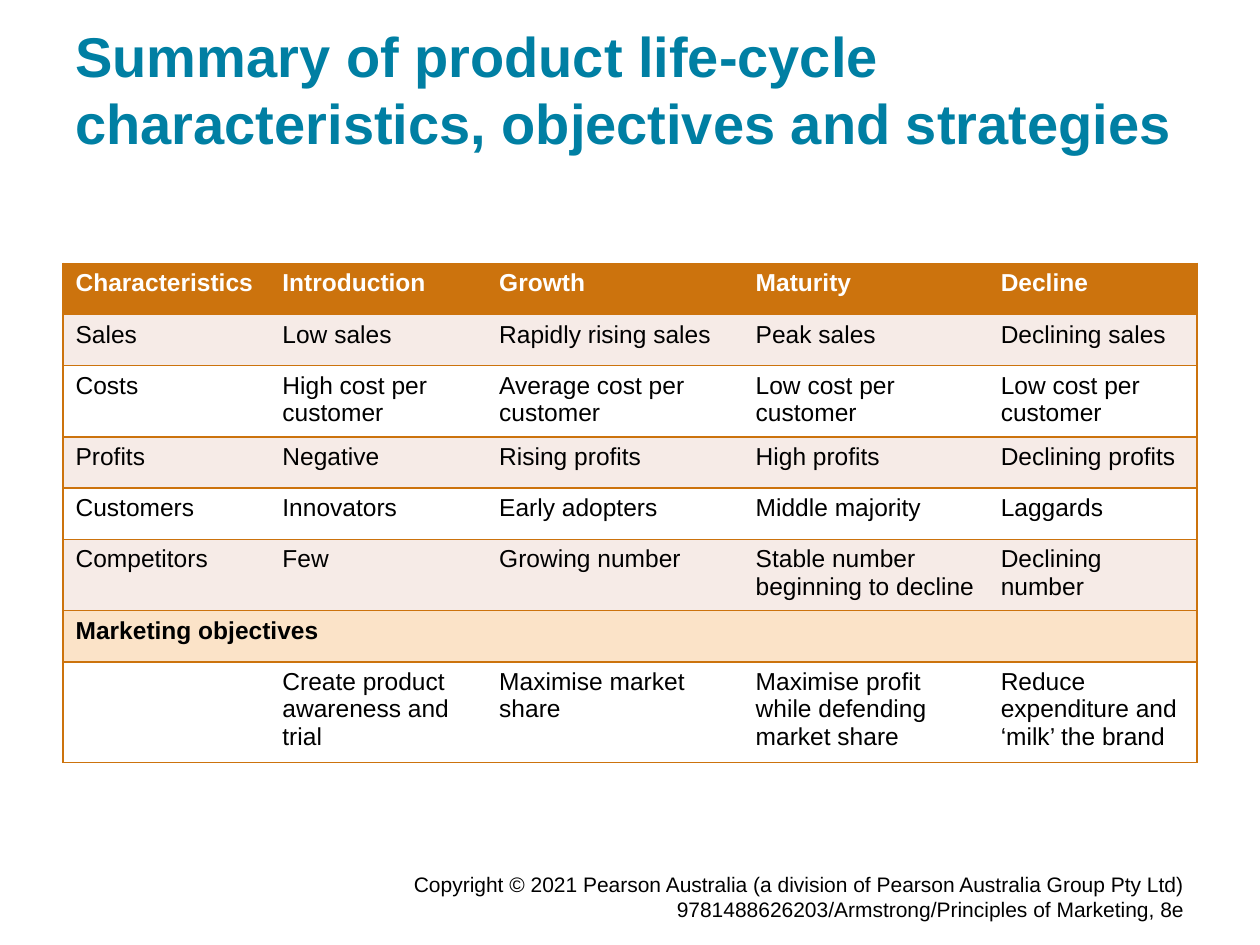
from lxml.etree import SubElement as Sub
from pptx import Presentation
from pptx.dml.color import RGBColor as RGB
from pptx.enum.text import MSO_ANCHOR as Anchor, MSO_AUTO_SIZE as Auto, PP_ALIGN as Align
from pptx.oxml.ns import qn
from pptx.util import Cm, Pt

TITLE = "Summary of product life-cycle characteristics, objectives and strategies"
FOOT = [
    "Copyright © 2021 Pearson Australia (a division of Pearson Australia Group Pty Ltd)",
    "9781488626203/Armstrong/Principles of Marketing, 8e",
]
HEAD = ["Characteristics", "Introduction", "Growth", "Maturity", "Decline"]
STAGES = [
    ["Sales", "Low sales", "Rapidly rising sales", "Peak sales", "Declining sales"],
    ["Costs", "High cost per customer", "Average cost per customer",
     "Low cost per customer", "Low cost per customer"],
    ["Profits", "Negative", "Rising profits", "High profits", "Declining profits"],
    ["Customers", "Innovators", "Early adopters", "Middle majority", "Laggards"],
    ["Competitors", "Few", "Growing number", "Stable number beginning to decline",
     "Declining number"],
]
GOALS = ["", "Create product awareness and trial", "Maximise market share",
         "Maximise profit while defending market share",
         "Reduce expenditure and ‘milk’ the brand"]
WIDTHS = [4.17, 4.37, 5.17, 4.94, 4.21]
ROW = 1.03


def tint(code):
    """Turn a hex string into a colour."""
    return RGB.from_string(code)


class Deck:
    """Holds the style and the current slide."""

    font, ink, teal = "Arial", "000000", "007FA3"
    rust, blush, peach, white = "CC730D", "F6EBE7", "FBE3C8", "FFFFFF"

    def __init__(self):
        """Open a deck with one title-only slide."""
        self.prs = Presentation()
        self.prs.slide_width, self.prs.slide_height = Cm(25.4), Cm(19.05)
        self.slide = self.prs.slides.add_slide(self.prs.slide_layouts[5])

    def style(self, frame, size, color, bold=False, align=Align.LEFT):
        """Format every run in a text frame."""
        for para in frame.paragraphs:
            para.alignment = align
            for run in para.runs:
                font = run.font
                font.name, font.size, font.bold = self.font, Pt(size), bold
                font.color.rgb = tint(color)

    def title(self, text, left, top, width, height):
        """Place and format the title."""
        box = self.slide.shapes.title
        box.left, box.top, box.width, box.height = map(Cm, (left, top, width, height))
        frame = box.text_frame
        frame.text = text
        frame.word_wrap, frame.auto_size = True, Auto.NONE
        frame.vertical_anchor = Anchor.BOTTOM
        frame.margin_left = frame.margin_right = Cm(0.25)
        frame.margin_top = frame.margin_bottom = Cm(0.25)
        self.style(frame, 32, self.teal, True)

    def note(self, lines, left, top, width, height):
        """Add right-aligned small print."""
        box = self.slide.shapes.add_textbox(*map(Cm, (left, top, width, height)))
        frame = box.text_frame
        frame.word_wrap = True
        frame.text = "\n".join(lines)
        self.style(frame, 12, self.ink, align=Align.RIGHT)

    def edge(self, cell, side, shown):
        """Draw or clear one side of a cell."""
        line = Sub(cell._tc.get_or_add_tcPr(), qn(f"a:ln{side}"), w=str(Pt(1)))
        if shown:
            Sub(Sub(line, qn("a:solidFill")), qn("a:srgbClr"), val=self.rust)
        else:
            Sub(line, qn("a:noFill"))

    def row(self, table, index, texts, fill, color=ink, bold=False):
        """Fill one table row; a single text spans the whole row."""
        cells = list(table.rows[index].cells)
        whole = len(texts) == 1
        if whole:
            cells[0].merge(cells[-1])
        for cell, text in zip(cells, texts):
            cell.text = text
            self.style(cell.text_frame, 14, color, bold)
        for col, cell in enumerate(cells):
            self.edge(cell, "L", col == 0)
            self.edge(cell, "R", whole or cell is cells[-1])
            self.edge(cell, "T", True)
            self.edge(cell, "B", True)
            cell.fill.solid()
            cell.fill.fore_color.rgb = tint(fill)

    def table(self, left, top):
        """Add the life-cycle table."""
        count = len(STAGES) + 3
        grid = self.slide.shapes.add_table(
            count, len(WIDTHS), Cm(left), Cm(top), Cm(sum(WIDTHS)), Cm(ROW * count)).table
        grid.horz_banding = False
        for col, width in zip(grid.columns, WIDTHS):
            col.width = Cm(width)
        for line in grid.rows:
            line.height = Cm(ROW)
        self.row(grid, 0, HEAD, self.rust, self.white, True)
        for index, texts in enumerate(STAGES, 1):
            self.row(grid, index, texts, self.blush if index % 2 else self.white)
        self.row(grid, count - 2, ["Marketing objectives"], self.peach, bold=True)
        self.row(grid, count - 1, GOALS, self.white)


def main():
    """Build the slide and save it."""
    deck = Deck()
    deck.note(FOOT, 4.24, 17.45, 19.89, 1.19)
    deck.title(TITLE, 1.27, 1.52, 22.86, 1.88)
    deck.table(1.27, 5.31)
    deck.prs.save("out.pptx")


if __name__ == "__main__":
    main()
